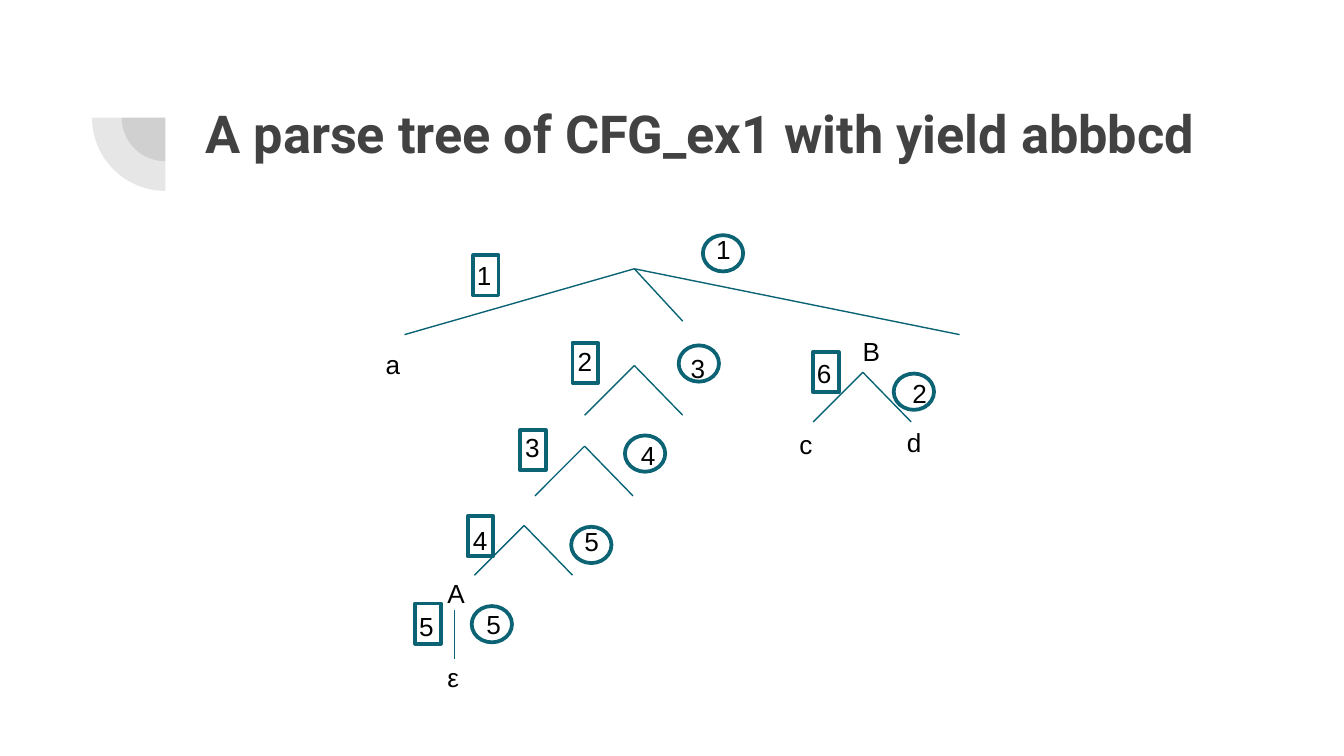
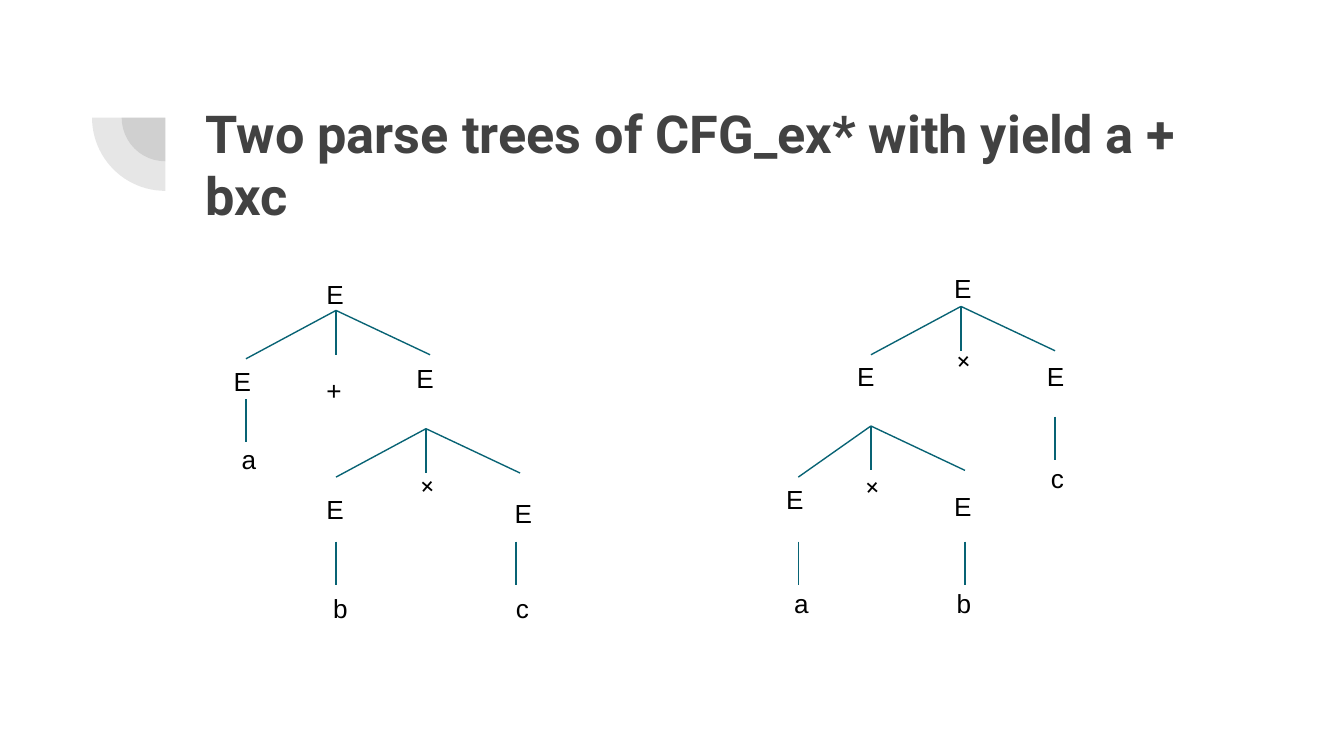
"""Build two slides of parse trees for context-free grammars."""
from lxml import etree
from pptx import Presentation
from pptx import util as u
from pptx.dml import color
from pptx.enum import shapes, text
from pptx.oxml import ns

WIDTH = 10
HEIGHT = WIDTH * 9 / 16
INK, TEAL, BADGE_TEAL, WHITE, BLACK = "424242", "086374", "0B6374", "FFFFFF", "000000"
TITLE_AREA = (1.43, 0.65, 7.69, 1.09)
CORNER_CENTER, CORNER_SIZES = (1.23, 0.875), (0.65, 1.09)
LABEL_HEIGHT = 0.34
RECT, OVAL = shapes.MSO_SHAPE.RECTANGLE, shapes.MSO_SHAPE.OVAL
BADGE_SIZES = {RECT: (0.19, 0.3), OVAL: (0.3, 0.27)}

ROOT = [(-1.71, 0.49), (2.42, 0.49), (0.36, 0.39)]
PAIR = [(-0.37, 0.37), (0.36, 0.37)]
TRIPLE = [(-0.67, 0.36), (0.7, 0.33), (0, 0.33)]
STEEP = [(-0.54, 0.38), (0.7, 0.33), (0, 0.33)]
LONG_STEM, STEM = [(0, 0.36)], [(0, 0.32)]

SLIDES = [
    {
        "title": "A parse tree of CFG_ex1 with yield abbbcd",
        "branches": [
            (ROOT, [(4.72, 2)]),
            (PAIR, [(4.72, 2.72), (6.42, 2.77), (4.35, 3.32), (3.9, 3.91)]),
            (LONG_STEM, [(3.38, 4.54)]),
        ],
        "badges": [
            (RECT, [(3.52, 1.9), (4.26, 2.55), (3.87, 3.2), (3.48, 3.84),
                    (3.09, 4.49), (6.05, 2.62)]),
            (OVAL, [(5.23, 1.75), (5.05, 2.57), (4.65, 3.24), (4.25, 3.92),
                    (3.51, 4.51), (6.65, 2.78)]),
        ],
        "labels": [
            (0.36, 0, [("1", 3.45, 1.88)]),
            (0.71, 0, [("2", 4.2, 2.52)]),
            (0.87, 0, [("3", 3.81, 3.16), ("4", 3.42, 3.85), ("5", 3.02, 4.49)]),
            (0.69, 0, [("a", 2.77, 2.54), ("1", 5.23, 1.69), ("3", 5.04, 2.57),
                       ("4", 4.67, 3.22), ("5", 4.25, 3.86), ("5", 3.52, 4.48),
                       ("A", 3.23, 4.25), ("6", 5.98, 2.61), ("B", 6.32, 2.45),
                       ("2", 6.69, 2.76), ("c", 5.85, 3.14), ("d", 6.65, 3.12),
                       ("ε", 3.23, 4.87)]),
        ],
    },
    {
        "title": "Two parse trees of CFG_ex* with yield a + bxc",
        "branches": [
            (TRIPLE, [(2.5, 2.31), (3.17, 3.19), (7.15, 2.28)]),
            (STEEP, [(6.48, 3.17)]),
            (STEM, [(1.83, 2.97), (2.5, 4.03), (3.84, 4.03), (5.94, 4.03),
                    (7.18, 4.03), (7.85, 3.1)]),
        ],
        "badges": [],
        "labels": [
            (0.48, 0, [("E", 1.64, 2.67), ("E", 3, 2.65), ("E", 6.28, 2.63),
                       ("E", 7.69, 2.63), ("c", 7.72, 3.39), ("E", 5.75, 3.55),
                       ("E", 7, 3.6), ("a", 5.81, 4.32), ("b", 7.02, 4.32),
                       ("c", 3.74, 4.36), ("b", 2.38, 4.36), ("E", 2.33, 3.62),
                       ("E", 3.73, 3.65), ("a", 1.7, 3.25), ("E", 7, 1.98),
                       ("E", 2.33, 2.02), ("+", 2.33, 2.74)]),
            (0.48, 41, [("+", 3.01, 3.5), ("+", 6.32, 3.51), ("+", 7, 2.57)]),
        ],
    },
]


def rgb(value):
    return color.RGBColor.from_string(value)


def inches(*lengths):
    return [u.Inches(length) for length in lengths]


def write(frame, words, size=14, font="Arial", ink=BLACK, bold=False,
          fit=text.MSO_AUTO_SIZE.SHAPE_TO_FIT_TEXT):
    frame.word_wrap = True
    frame.auto_size = fit
    frame.vertical_anchor = text.MSO_ANCHOR.TOP
    para = frame.paragraphs[0]
    para.alignment = text.PP_ALIGN.LEFT
    span = para.add_run()
    span.text = words
    span.font.size, span.font.name, span.font.bold = u.Pt(size), font, bold
    span.font.color.rgb = rgb(ink)


def add_filled(page, kind, area, fill):
    shape = page.shapes.add_shape(kind, *inches(*area))
    shape.shadow.inherit = False
    shape.fill.solid()
    shape.fill.fore_color.rgb = rgb(fill)
    return shape


def decorate_layout(layout, page):
    x, y = CORNER_CENTER
    for size in CORNER_SIZES:
        area = (x - size / 2, y - size / 2, size, size)
        pie = add_filled(page, shapes.MSO_SHAPE.PIE, area, INK)
        pie.line.fill.background()
        pie.adjustments[0], pie.adjustments[1] = 108, 162
        pie.rotation = 270
        tint = pie.element.spPr.find(".//" + ns.qn("a:srgbClr"))
        etree.SubElement(tint, ns.qn("a:alpha"), val="13000")
        layout.shapes.element.append(pie.element)


def add_title(page, words):
    title = page.shapes.title
    title.left, title.top, title.width, title.height = inches(*TITLE_AREA)
    frame = title.text_frame
    frame.margin_left = frame.margin_right = u.Inches(0.1)
    frame.margin_top = frame.margin_bottom = u.Inches(0.1)
    write(frame, words, size=28, font="Roboto", ink=INK, bold=True,
          fit=text.MSO_AUTO_SIZE.NONE)


def add_fork(page, x, y, offsets):
    for dx, dy in offsets:
        branch = page.shapes.add_connector(
            shapes.MSO_CONNECTOR.STRAIGHT, *inches(x, y, x + dx, y + dy))
        branch.line.color.rgb = rgb(TEAL)
        branch.line.width = u.Pt(0.75)
        etree.SubElement(branch.element.spPr, ns.qn("a:effectLst"))


def add_badge(page, kind, x, y):
    badge = add_filled(page, kind, (x, y, *BADGE_SIZES[kind]), WHITE)
    badge.line.color.rgb = rgb(BADGE_TEAL)
    badge.line.width = u.Pt(2)


def add_label(page, words, x, y, width, angle):
    box = page.shapes.add_textbox(*inches(x, y, width, LABEL_HEIGHT))
    box.rotation = angle
    write(box.text_frame, words)


def main():
    deck = Presentation()
    deck.slide_width, deck.slide_height = inches(WIDTH, HEIGHT)
    layout = deck.slide_layouts[5]
    for number, content in enumerate(SLIDES):
        page = deck.slides.add_slide(layout)
        if number == 0:
            decorate_layout(layout, page)
        add_title(page, content["title"])
        for offsets, tops in content["branches"]:
            for x, y in tops:
                add_fork(page, x, y, offsets)
        for kind, corners in content["badges"]:
            for x, y in corners:
                add_badge(page, kind, x, y)
        for width, angle, labels in content["labels"]:
            for words, x, y in labels:
                add_label(page, words, x, y, width, angle)
    deck.save("out.pptx")


if __name__ == "__main__":
    main()
